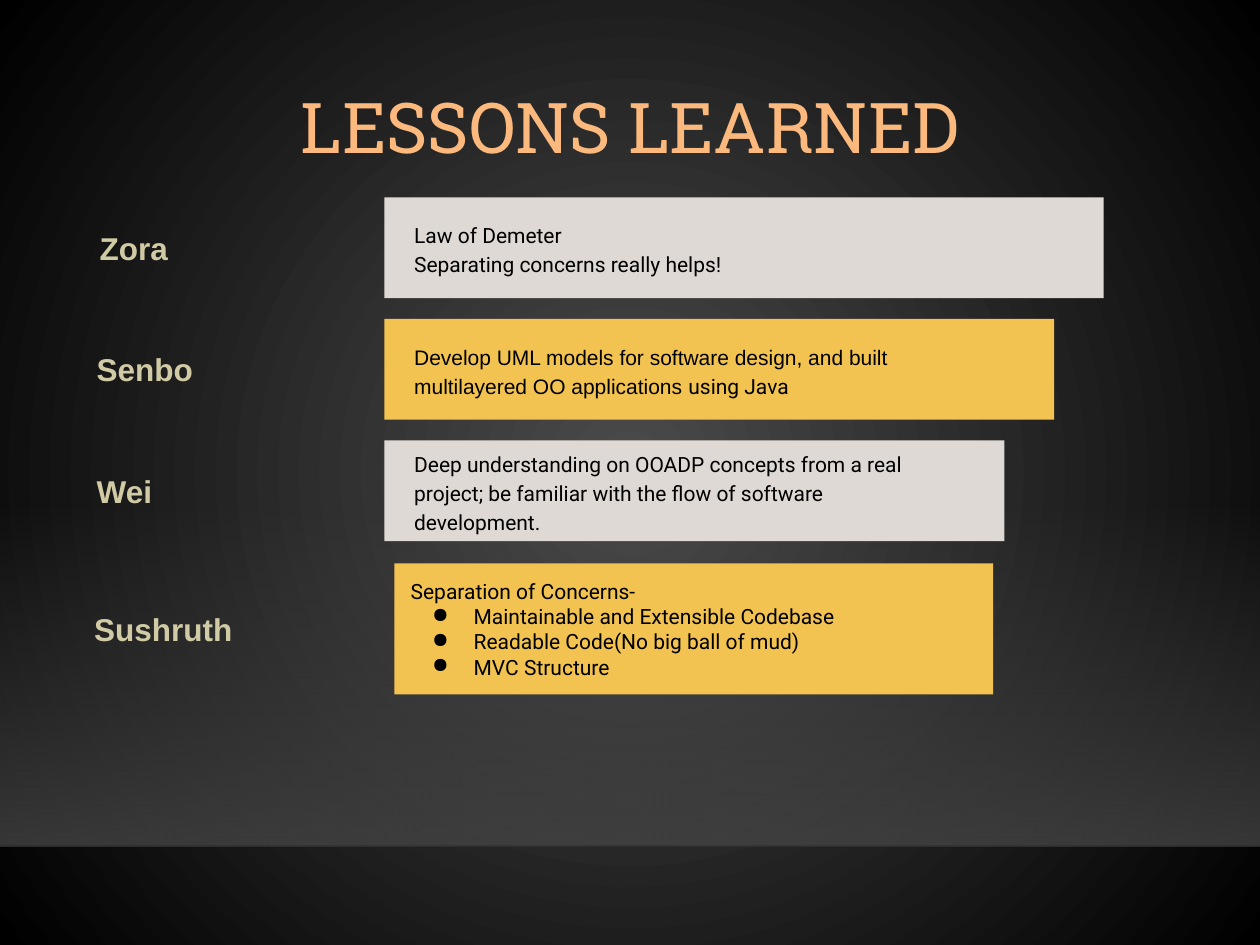
from dataclasses import dataclass

import pptx
import pptx.dml.color
import pptx.enum.shapes
import pptx.enum.text
import pptx.oxml
import pptx.oxml.ns
import pptx.util
from lxml import etree

Cm, Pt = pptx.util.Cm, pptx.util.Pt
RGBColor = pptx.dml.color.RGBColor
ANCHOR = pptx.enum.text.MSO_ANCHOR
qn = pptx.oxml.ns.qn

GLOW = RGBColor(0x4B, 0x4B, 0x4B)
BLACK = RGBColor(0, 0, 0)
FLOOR = RGBColor(0x45, 0x45, 0x45)
HORIZON = RGBColor(0, 0, 1)
PEACH = RGBColor(0xFC, 0xB9, 0x7D)
KHAKI = RGBColor(0xD0, 0xCB, 0xA5)
GREY = RGBColor(0xDF, 0xD9, 0xD5)
YELLOW = RGBColor(0xF2, 0xC3, 0x51)

SANS, BODY, SLAB = "Arial", "Roboto", "Roboto Slab"


@dataclass
class Box:
    left: float
    top: float
    width: float
    height: float

    def lengths(self):
        return [Cm(v) for v in (self.left, self.top, self.width, self.height)]


@dataclass
class Lesson:
    person: str
    name_left: float
    bar: Box
    text: Box  # left and top are offsets from the bar
    color: RGBColor
    paragraphs: list  # each paragraph is a list of (text, font) runs
    spacing: float = 1.15
    bulleted_from: int = 99


def add_run(paragraph, text, font, size, color, bold=False):
    run = paragraph.add_run()
    run.text = text
    run.font.name, run.font.size, run.font.bold = font, Pt(size), bold
    run.font.color.rgb = color


def set_alpha(color_parent, percent):
    for color in color_parent.iter(qn("a:srgbClr")):
        etree.SubElement(color, qn("a:alpha"), val=str(percent * 1000))


def set_gradient(fill, colors):
    """Fill with a two-stop gradient and return its XML element."""
    fill.gradient()
    for stop, color, position in zip(fill.gradient_stops, colors, (0, 1)):
        stop.color.rgb = color
        stop.position = position
    return fill.gradient_stops[0]._gs.getparent().getparent()


def add_backdrop(slide, floor):
    gradient = set_gradient(slide.background.fill, (GLOW, BLACK))
    gradient.remove(gradient.find(qn("a:lin")))
    glow = etree.SubElement(gradient, qn("a:path"))
    glow.set("path", "circle")
    etree.SubElement(glow, qn("a:fillToRect"), l="50000", t="50000", r="50000", b="50000")

    band = slide.shapes.add_shape(pptx.enum.shapes.MSO_SHAPE.RECTANGLE, *floor.lengths())
    band.shadow.inherit = False
    band.line.fill.background()
    gradient = set_gradient(band.fill, (FLOOR, FLOOR))
    gradient.find(qn("a:lin")).set("ang", "5400000")
    for stop, percent in zip(gradient.iter(qn("a:gs")), (0, 80)):
        set_alpha(stop, percent)

    bottom = Cm(floor.top + floor.height)
    horizon = slide.shapes.add_connector(
        pptx.enum.shapes.MSO_CONNECTOR.STRAIGHT,
        Cm(floor.left), bottom, Cm(floor.left + floor.width), bottom)
    horizon.line.color.rgb = HORIZON
    horizon.line.width = Pt(1)
    properties = horizon._element.spPr
    set_alpha(properties, 20)
    etree.SubElement(properties, qn("a:effectLst"))


def place_title(slide, box, text):
    title = slide.shapes.title
    title.left, title.top, title.width, title.height = box.lengths()
    frame = title.text_frame
    frame.vertical_anchor = ANCHOR.BOTTOM
    frame.margin_left = frame.margin_right = Cm(0.25)
    frame.margin_top = frame.margin_bottom = Cm(0.25)
    paragraph = frame.paragraphs[0]
    paragraph.alignment = pptx.enum.text.PP_ALIGN.CENTER
    paragraph.line_spacing = 0.9
    add_run(paragraph, text, SLAB, 40, PEACH)


def add_frame(slide, box):
    frame = slide.shapes.add_textbox(*box.lengths()).text_frame
    frame.word_wrap = True
    frame.vertical_anchor = ANCHOR.MIDDLE
    return frame


def add_bullet(paragraph):
    properties = paragraph._p.get_or_add_pPr()
    properties.set("marL", str(Cm(1.27)))
    properties.set("indent", str(-Cm(0.84)))
    color = etree.SubElement(properties, qn("a:buClr"))
    etree.SubElement(color, qn("a:srgbClr"), val=str(BLACK))
    etree.SubElement(properties, qn("a:buChar"), char="●")


def add_lesson(slide, lesson):
    bar = lesson.bar
    name_box = Box(lesson.name_left, bar.top + 0.13, 7.55 - lesson.name_left, bar.height - 0.26)
    name = add_frame(slide, name_box)
    add_run(name.paragraphs[0], lesson.person, SANS, 18, KHAKI, bold=True)

    panel = slide.shapes.add_shape(pptx.enum.shapes.MSO_SHAPE.RECTANGLE, *bar.lengths())
    panel.shadow.inherit = False
    panel.fill.solid()
    panel.fill.fore_color.rgb = lesson.color
    panel.line.fill.background()

    offset = lesson.text
    text = add_frame(slide, Box(bar.left + offset.left, bar.top + offset.top,
                                offset.width, offset.height))
    for index, runs in enumerate(lesson.paragraphs):
        paragraph = text.paragraphs[0] if index == 0 else text.add_paragraph()
        paragraph.line_spacing = lesson.spacing
        if index >= lesson.bulleted_from:
            add_bullet(paragraph)
        for words, font in runs:
            add_run(paragraph, words, font, 12, BLACK)


def stair_bar(step):
    """Bars sit at an even pitch, each 1 cm shorter than the one above."""
    return Box(7.75, 3.98 + 2.45 * step, 14.5 - step, 2.03)


LESSONS = [
    Lesson("Zora", 1.76, stair_bar(0), Box(0.35, 0.22, 13.23, 1.6), GREY, [
        [("Law of Demeter", BODY)],
        [("Separating concerns really helps!", BODY)]]),
    Lesson("Senbo", 1.7, stair_bar(1), Box(0.35, 0.56, 12.14, 0.91), YELLOW, [
        [("Develop UML models for software design, and built "
          "multilayered OO applications ", SANS), ("using Java", BODY)]]),
    Lesson("Wei", 1.7, stair_bar(2), Box(0.35, 0.56, 10.69, 0.91), GREY, [
        [("Deep understanding on OOADP concepts from a real project; "
          "be familiar with the flow of software development.", BODY)]]),
    Lesson("Sushruth", 1.65, Box(7.95, 11.36, 12.07, 2.64), Box(0.08, 0, 11.51, 2.64), YELLOW, [
        [("Separation of Concerns-", BODY)],
        [("Maintainable and Extensible Codebase", BODY)],
        [("Readable Code(No big ball of mud)", BODY)],
        [("MVC Structure", BODY)]], spacing=1.0, bulleted_from=1),
]


def main():
    deck = pptx.Presentation()
    deck.slide_width, deck.slide_height = Cm(25.4), Cm(19.05)
    slide = deck.slides.add_slide(deck.slide_layouts[5])
    add_backdrop(slide, Box(0, 10.06, 25.4, 7))
    place_title(slide, Box(2.23, 1.5, 20.95, 2.16), "LESSONS LEARNED")
    for lesson in LESSONS:
        add_lesson(slide, lesson)
    deck.save("out.pptx")


if __name__ == "__main__":
    main()
